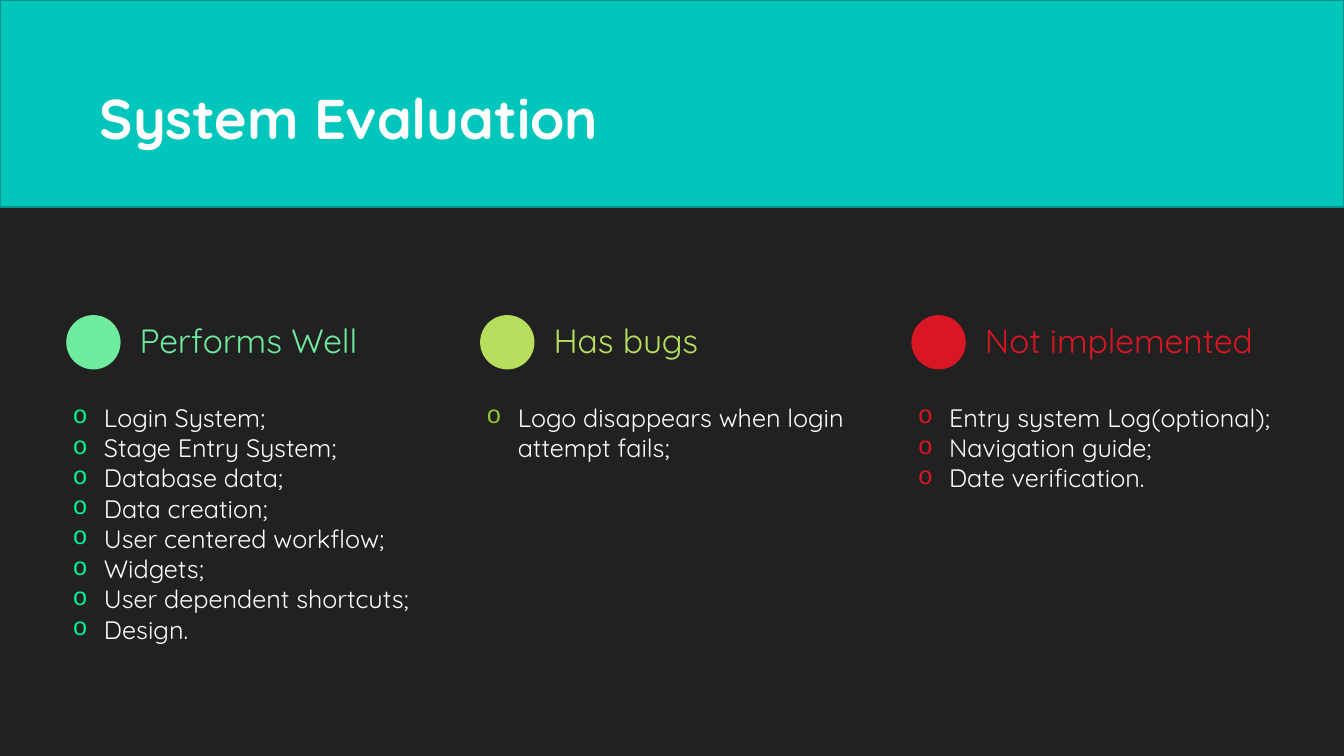
from lxml import etree
from pptx import Presentation
from pptx.dml.color import RGBColor
from pptx.enum.shapes import MSO_SHAPE as SHAPE
from pptx.enum.text import MSO_ANCHOR as ANCHOR, PP_ALIGN as ALIGN
from pptx.oxml.ns import qn
from pptx.util import Cm, Pt

FONT = "Quicksand"
COLORS = {
    "background": "212121", "banner": "00C6BB", "banner_line": "00928A",
    "title": "FEFEFE", "text": "FFFFFF", "shadow": "000000",
    "green": "6FEBA0", "green_bullet": "00F294",
    "lime": "B6DF5E", "lime_bullet": "94C627", "red": "D81624",
}

# left edge, list width, colour, bullet colour, heading, items
COLUMNS = [
    (1.62, 9.75, "green", "green_bullet", "Performs Well",
     ["Login System;", "Stage Entry System;", "Database data;",
      "Data creation;", "User centered workflow;", "Widgets;",
      "User dependent shortcuts;", "Design."]),
    (12.05, 10.9, "lime", "lime_bullet", "Has bugs",
     ["Logo disappears when login attempt fails;"]),
    (22.92, 10.9, "red", "red", "Not implemented",
     ["Entry system Log(optional);", "Navigation guide;",
      "Date verification."]),
]


def rgb(name):
    return RGBColor.from_string(COLORS[name])


def style(p, size, color, bold=False):
    for r in p.runs:
        r.font.name = FONT
        r.font.size = Pt(size)
        r.font.bold = bold
        r.font.color.rgb = rgb(color)


def add_block(shapes, kind, left, top, width, height, fill):
    sp = shapes.add_shape(kind, Cm(left), Cm(top), Cm(width), Cm(height))
    sp.shadow.inherit = False
    sp.fill.solid()
    sp.fill.fore_color.rgb = rgb(fill)
    sp.line.fill.background()
    return sp


def add_text_frame(shapes, left, top, width, height):
    sp = shapes.add_textbox(Cm(left), Cm(top), Cm(width), Cm(height))
    sp.text_frame.word_wrap = True
    return sp.text_frame


def add_bullet(p, color):
    pPr = p._p.get_or_add_pPr()
    pPr.set("marL", str(Cm(0.79)))
    pPr.set("indent", str(-Cm(0.79)))
    clr = etree.SubElement(pPr, qn("a:buClr"))
    etree.SubElement(clr, qn("a:srgbClr"), val=COLORS[color])
    etree.SubElement(pPr, qn("a:buFont"), typeface="Courier New")
    etree.SubElement(pPr, qn("a:buChar"), char="o")


def add_text_shadow(r):
    effects = etree.Element(qn("a:effectLst"))
    shadow = etree.SubElement(effects, qn("a:outerShdw"), blurRad="38100",
                              dist="38100", dir="2700000", algn="tl")
    clr = etree.SubElement(shadow, qn("a:srgbClr"), val=COLORS["shadow"])
    etree.SubElement(clr, qn("a:alpha"), val="43000")
    r.font._element.find(qn("a:solidFill")).addnext(effects)


def add_title(s, text):
    title = s.shapes.title
    title.left, title.top = Cm(2.26), Cm(1.24)
    title.width, title.height = Cm(29.36), Cm(2.69)
    tf = title.text_frame
    tf.text = text
    tf.vertical_anchor = ANCHOR.BOTTOM
    p = tf.paragraphs[0]
    p.alignment = ALIGN.LEFT
    style(p, 40, "title", bold=True)
    add_text_shadow(p.runs[0])

    # Banner behind the title
    banner = add_block(s.shapes, SHAPE.RECTANGLE, 0, 0, 33.87, 5.21, "banner")
    banner.line.color.rgb = rgb("banner_line")
    banner.line.width = Pt(1.25)
    title.element.addprevious(banner.element)


def add_column(s, left, width, color, bullet, heading, items):
    shapes = s.shapes.add_group_shape().shapes
    add_block(shapes, SHAPE.OVAL, left + 0.05, 7.94, 1.37, 1.37, color)

    # Heading
    tf = add_text_frame(shapes, left + 1.9, 6.77, 8.76, 3.71)
    tf.margin_left = tf.margin_right = tf.margin_top = tf.margin_bottom = 0
    tf.vertical_anchor = ANCHOR.MIDDLE
    tf.text = heading
    p = tf.paragraphs[0]
    p.line_spacing = 0.9
    p.space_after = Pt(8.4)
    style(p, 24, color)

    # Bulleted list
    tf = add_text_frame(shapes, left - 0.04, 10.01, width,
                        0.27 + 0.77 * max(len(items), 2))
    tf.text = "\n".join(items)
    for p in tf.paragraphs:
        add_bullet(p, bullet)
        style(p, 18, "text")


def main():
    prs = Presentation()
    prs.slide_width, prs.slide_height = Cm(33.87), Cm(19.05)
    s = prs.slides.add_slide(prs.slide_layouts[5])
    s.background.fill.solid()
    s.background.fill.fore_color.rgb = rgb("background")

    add_title(s, "System Evaluation")
    for column in COLUMNS:
        add_column(s, *column)
    prs.save("out.pptx")


if __name__ == "__main__":
    main()
